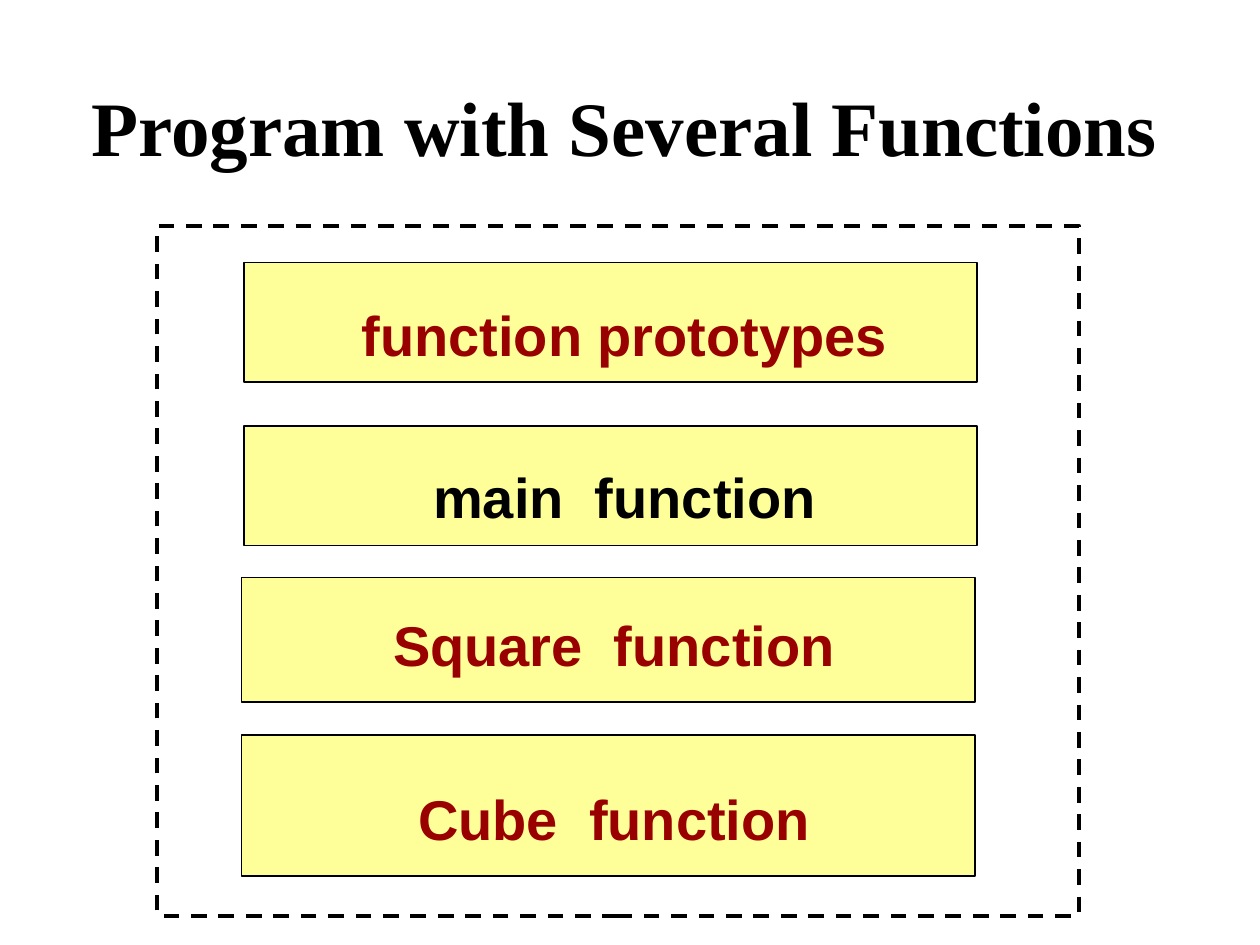
import pptx
import pptx.util
import pptx.dml.color
import pptx.enum.dml
import pptx.enum.shapes
import pptx.enum.text
from dataclasses import dataclass

Pt = pptx.util.Pt


@dataclass(frozen=True)
class Theme:
    black: str = "000000"
    dark_red: str = "990000"
    yellow: str = "FFFF99"
    title_font: str = "Times New Roman"
    label_font: str = "Arial"
    title_size: int = 44
    label_size: int = 32


theme = Theme()

# Content: label, colour, bar (left, top, height), label (left, top)
title = "Program with Several Functions"
functions = [
    ("function prototypes", theme.dark_red, (139.5, 150, 68.25), (123, 168.3)),
    ("main  function", theme.black, (139.5, 243.5, 68.25), (123, 261)),
    ("Square  function", theme.dark_red, (138, 330, 71), (117, 345.4)),
    ("Cube  function", theme.dark_red, (138, 420, 80.5), (117, 444.8)),
]
bar_width = 419
label_width, label_height = 468, 46
title_area = (6, 18, 702, 84)
program_area = (90, 129, 526.5, 394.5)


def rgb(value):
    return pptx.dml.color.RGBColor.from_string(value)


def add_box(slide, area, line_width, fill=None):
    box = slide.shapes.add_shape(
        pptx.enum.shapes.MSO_SHAPE.RECTANGLE, *map(Pt, area))
    box.shadow.inherit = False
    if fill:
        box.fill.solid()
        box.fill.fore_color.rgb = rgb(fill)
    else:
        box.fill.background()
    box.line.color.rgb = rgb(theme.black)
    box.line.width = Pt(line_width)
    return box


def add_text(slide, area, text, font, size, color, anchor):
    box = slide.shapes.add_textbox(*map(Pt, area))
    frame = box.text_frame
    frame.word_wrap = True
    frame.vertical_anchor = anchor
    para = frame.paragraphs[0]
    para.alignment = pptx.enum.text.PP_ALIGN.CENTER
    span = para.add_run()
    span.text = text
    span.font.name = font
    span.font.size = Pt(size)
    span.font.bold = True
    span.font.color.rgb = rgb(color)


def main():
    deck = pptx.Presentation()
    deck.slide_width, deck.slide_height = Pt(720), Pt(540)
    page = deck.slides.add_slide(deck.slide_layouts[6])
    anchors = pptx.enum.text.MSO_ANCHOR

    # Title
    add_text(page, title_area, title, theme.title_font, theme.title_size,
             theme.black, anchors.BOTTOM)

    # Dashed frame around the whole program
    program = add_box(page, program_area, 2.25)
    program.line.dash_style = pptx.enum.dml.MSO_LINE.DASH

    # One bar and label for each part of the program
    for text, color, (left, top, height), label_corner in functions:
        add_box(page, (left, top, bar_width, height), 1, theme.yellow)
        add_text(page, (*label_corner, label_width, label_height), text,
                 theme.label_font, theme.label_size, color, anchors.TOP)

    deck.save("out.pptx")


if __name__ == "__main__":
    main()
